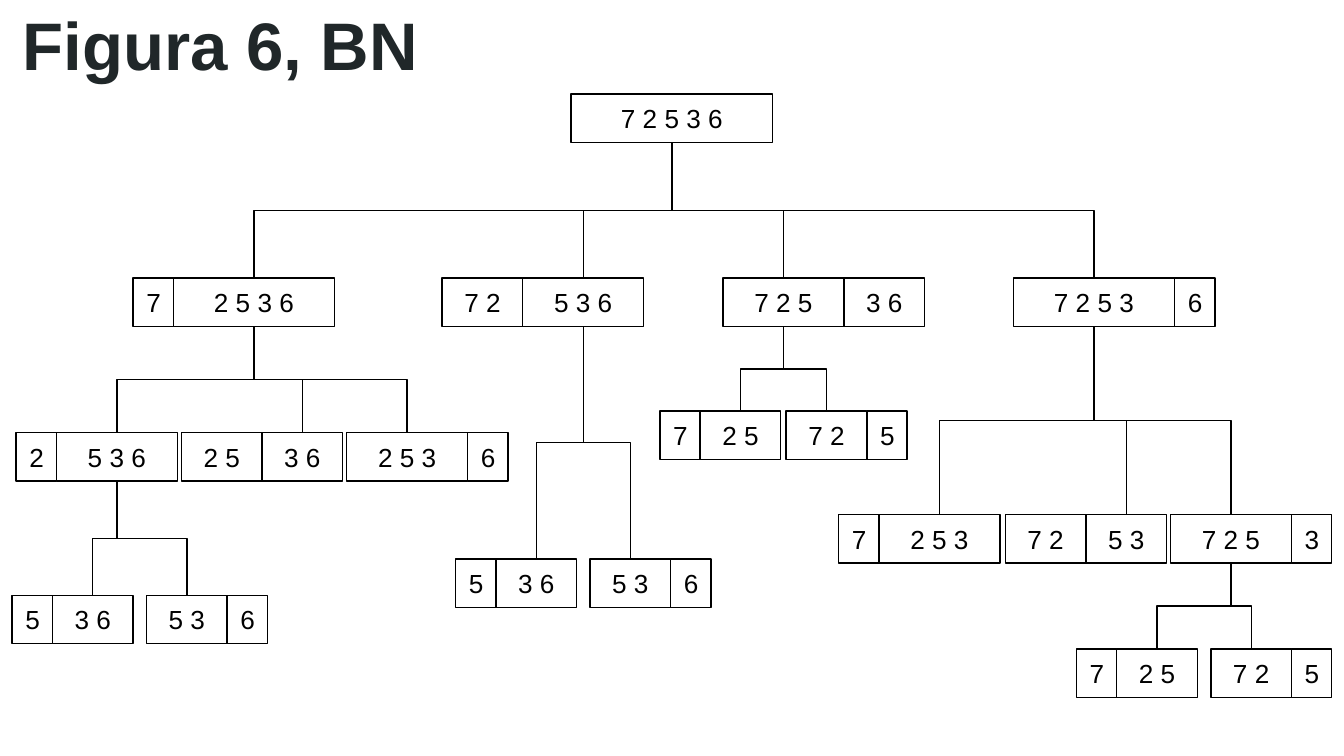
from lxml.etree import SubElement
from pptx import Presentation
from pptx.dml.color import RGBColor
from pptx.enum.shapes import MSO_CONNECTOR, MSO_SHAPE
from pptx.enum.text import MSO_ANCHOR, PP_ALIGN
from pptx.oxml.ns import qn
from pptx.util import Inches, Pt

TITLE = "Figura 6, BN"
TREE = (4.25, 0.7, ["7 2 5 3 6"], [
    (0.99, 2.07, ["7", "2 5 3 6"], [
        (0.12, 3.22, ["2", "5 3 6"], [
            (0.09, 4.43, ["5", "3 6"], []),
            (1.09, 4.43, ["5 3", "6"], []),
        ]),
        (1.35, 3.22, ["2 5", "3 6"], []),
        (2.58, 3.22, ["2 5 3", "6"], []),
    ]),
    (3.29, 2.07, ["7 2", "5 3 6"], [
        (3.39, 4.16, ["5", "3 6"], []),
        (4.39, 4.16, ["5 3", "6"], []),
    ]),
    (5.38, 2.07, ["7 2 5", "3 6"], [
        (4.91, 3.06, ["7", "2 5"], []),
        (5.85, 3.06, ["7 2", "5"], []),
    ]),
    (7.54, 2.07, ["7 2 5 3", "6"], [
        (6.24, 3.83, ["7", "2 5 3"], []),
        (7.48, 3.83, ["7 2", "5 3"], []),
        (8.71, 3.83, ["7 2 5", "3"], [
            (8.01, 4.83, ["7", "2 5"], []),
            (9.01, 4.83, ["7 2", "5"], []),
        ]),
    ]),
])

BLACK = RGBColor(0x00, 0x00, 0x00)
WHITE = RGBColor(0xFF, 0xFF, 0xFF)
DARK = RGBColor(0x20, 0x27, 0x29)
WIDE = Inches(10)
UNIT = 0.3
HIGH = 0.36
PAD = Inches(0.1)
THIN = Pt(0.75)


def write(shape, text, size=14, color=BLACK, bold=False, align=PP_ALIGN.CENTER):
    frame = shape.text_frame
    frame.word_wrap = True
    frame.vertical_anchor = MSO_ANCHOR.MIDDLE
    frame.margin_left = frame.margin_right = PAD
    frame.margin_top = frame.margin_bottom = PAD
    para = frame.paragraphs[0]
    para.alignment = align
    run = para.add_run()
    run.text = text
    run.font.name = "Arial"
    run.font.size = Pt(size)
    run.font.bold = bold
    run.font.color.rgb = color


def width(part):
    return UNIT * len(part.split())


def add_cell(shapes, x, y, part):
    cell = shapes.add_shape(MSO_SHAPE.RECTANGLE, Inches(x), Inches(y),
                            Inches(width(part)), Inches(HIGH))
    cell.shadow.inherit = False
    cell.fill.solid()
    cell.fill.fore_color.rgb = WHITE
    cell.line.color.rgb = BLACK
    cell.line.width = THIN
    write(cell, part)


def add_link(shapes, x1, y1, x2, y2):
    long, wide = y2 - y1, abs(x2 - x1)
    left = (x1 + x2 - long) / 2
    top = (y1 + y2 - wide) / 2
    ends = [left, left + long]
    if x2 > x1:
        ends.reverse()
    link = shapes.add_connector(MSO_CONNECTOR.ELBOW, Inches(ends[0]), Inches(top),
                                Inches(ends[1]), Inches(top + wide))
    turn = 270 if x2 > x1 else 90
    props = link._element.spPr
    props.find(qn("a:xfrm")).set("rot", str(turn * 60000))
    link.line.color.rgb = BLACK
    link.line.width = THIN
    SubElement(props, qn("a:effectLst"))


def add_node(shapes, node):
    x, y, parts, kids = node
    home = shapes.add_group_shape().shapes if len(parts) > 1 else shapes
    most = max(width(part) for part in parts)
    for part in parts:
        add_cell(home, x, y, part)
        if width(part) == most:
            hub = x + most / 2
        x += width(part)
    for kid in kids:
        add_link(shapes, hub, y + HIGH, add_node(shapes, kid), kid[1])
    return hub


def main():
    deck = Presentation()
    deck.slide_width = WIDE
    deck.slide_height = WIDE * 9 // 16
    slide = deck.slides.add_slide(deck.slide_layouts[6])
    box = slide.shapes.add_textbox(Inches(0.07), Inches(0.01), Inches(9.32), Inches(0.63))
    write(box, TITLE, size=36, color=DARK, bold=True, align=PP_ALIGN.LEFT)
    add_node(slide.shapes, TREE)
    deck.save("out.pptx")


if __name__ == "__main__":
    main()
